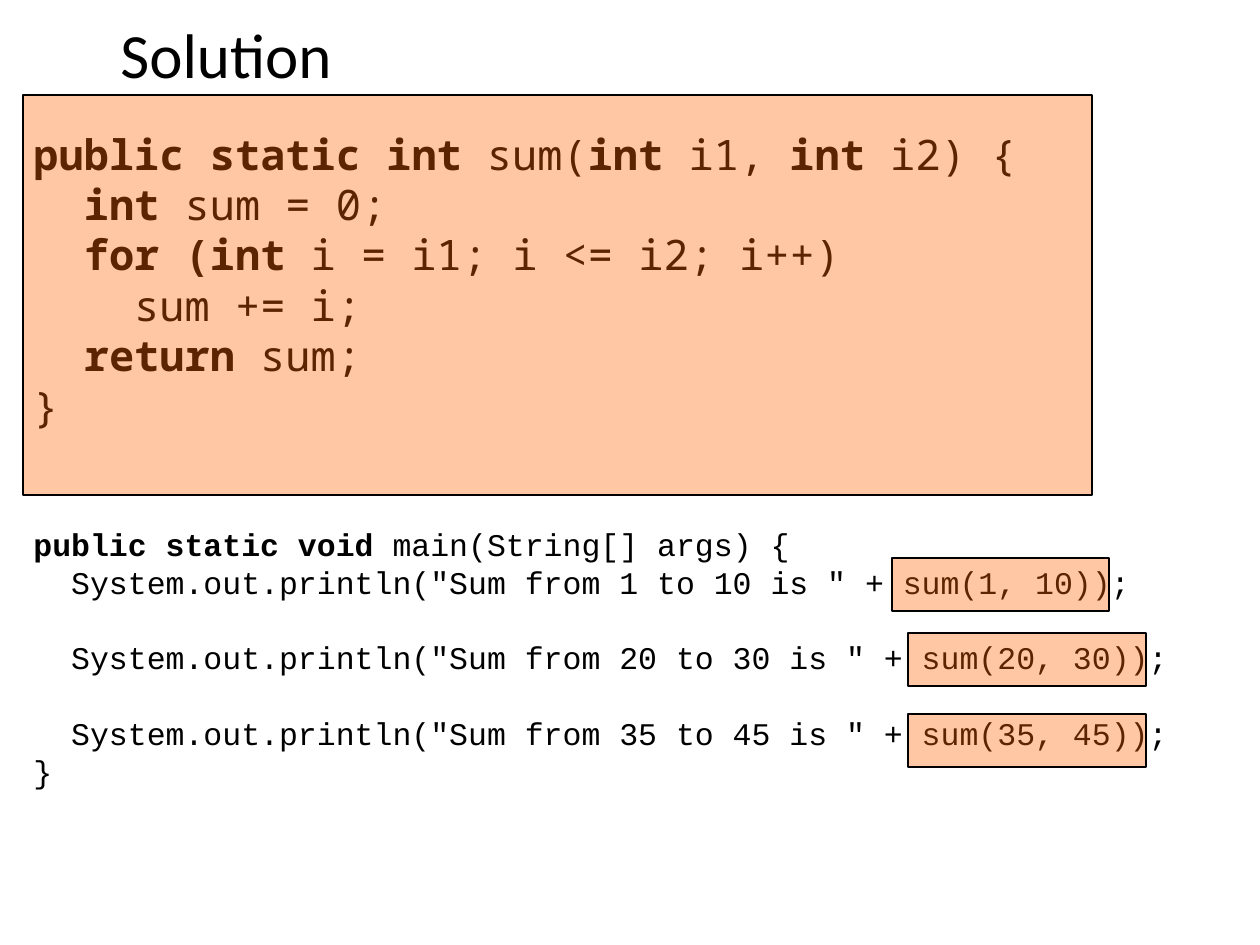
"""Build the slide showing a sum method and the calls that use it."""
from dataclasses import dataclass

from lxml import etree
from pptx import Presentation
from pptx.dml.color import RGBColor
from pptx.enum.text import MSO_ANCHOR, MSO_AUTO_SIZE, PP_ALIGN
from pptx.enum.shapes import MSO_SHAPE
from pptx.oxml.ns import qn
from pptx.util import Emu, Inches, Pt

RECT = MSO_SHAPE.RECTANGLE
CENTER = PP_ALIGN.CENTER
MIDDLE, TOP = MSO_ANCHOR.MIDDLE, MSO_ANCHOR.TOP
NO_FIT = MSO_AUTO_SIZE.NONE
PX = 914400 / 126


@dataclass(frozen=True)
class Theme:
    ink: RGBColor = RGBColor(0, 0, 0)
    highlight: RGBColor = RGBColor(0xFF, 0x66, 0x00)
    highlight_alpha: int = 36
    title_font: str = "Calibri"
    method_font: str = "Noto Sans Mono"
    main_font: str = "Courier New"
    title_size: int = 36
    method_size: int = 24
    main_size: int = 18
    leading: float = 1.2
    section_gap: int = 54


METHOD = [
    "**public static int **sum(**int** i1, **int** i2) {",
    "**  int **sum = 0;",
    "**  for (int** i = i1; i <= i2; i++)",
    "    sum += i;",
    "**  return **sum;",
    "}",
]
RANGES = [(1, 10), (20, 30), (35, 45)]
HIGHLIGHTS = [
    (23, 95, 1069, 400),
    (892, 558, 217, 53),
    (908, 633, 238, 53),
    (908, 714, 238, 53),
]


def px(*lengths):
    return [Emu(round(n * PX)) for n in lengths]


class SlideBuilder:
    def __init__(self, prs, theme):
        self.theme = theme
        self.s = prs.slides.add_slide(prs.slide_layouts[5])

    def style(self, p, font, size):
        p.font.name = font
        p.font.size = Pt(size)
        p.font.color.rgb = self.theme.ink

    def title(self, text, box):
        sp = self.s.shapes.title
        sp.left, sp.top, sp.width, sp.height = px(*box)
        tf = sp.text_frame
        tf.text = text
        tf.auto_size = NO_FIT
        tf.vertical_anchor = MIDDLE
        p = tf.paragraphs[0]
        p.alignment = CENTER
        self.style(p, self.theme.title_font, self.theme.title_size)

    def text_box(self, box):
        tf = self.s.shapes.add_textbox(*px(*box)).text_frame
        tf.word_wrap = True
        tf.vertical_anchor = TOP
        tf.margin_top = px(10)[0]
        return tf

    def code_line(self, tf, line, font, size, before=0):
        """Add one line of code, with ** around its bold parts."""
        p = tf.paragraphs[0]
        if p.runs:
            p = tf.add_paragraph()
        p.line_spacing = Pt(size * self.theme.leading)
        p.space_before = Pt(before)
        self.style(p, font, size)
        for i, part in enumerate(line.split("**")):
            if part:
                r = p.add_run()
                r.text = part
                r.font.bold = i % 2 == 1

    def highlight(self, box):
        sp = self.s.shapes.add_shape(RECT, *px(*box))
        sp.shadow.inherit = False
        sp.fill.solid()
        sp.fill.fore_color.rgb = self.theme.highlight
        color = sp.fill._xPr.find(".//" + qn("a:srgbClr"))
        alpha = etree.SubElement(color, qn("a:alpha"))
        alpha.set("val", str(self.theme.highlight_alpha * 1000))
        sp.line.color.rgb = self.theme.ink
        sp.line.width = Pt(1)


def main():
    theme = Theme()
    prs = Presentation()
    prs.slide_width, prs.slide_height = Inches(10), Inches(7.5)
    slide = SlideBuilder(prs, theme)
    slide.title("Solution", (32, 10, 388, 86))

    tf = slide.text_box((21, 118, 1217, 683))
    for line in METHOD:
        slide.code_line(tf, line, theme.method_font, theme.method_size)

    main_style = (theme.main_font, theme.main_size)
    slide.code_line(tf, "**public static void **main(String[] args) {",
                    *main_style, before=theme.section_gap)
    for i, (a, b) in enumerate(RANGES):
        line = f'  System.out.println("Sum from {a} to {b} is " + sum({a}, {b}));'
        gap = theme.main_size * theme.leading if i else 0
        slide.code_line(tf, line, *main_style, before=gap)
    slide.code_line(tf, "}", *main_style)

    for box in HIGHLIGHTS:
        slide.highlight(box)
    prs.save("out.pptx")


if __name__ == "__main__":
    main()
